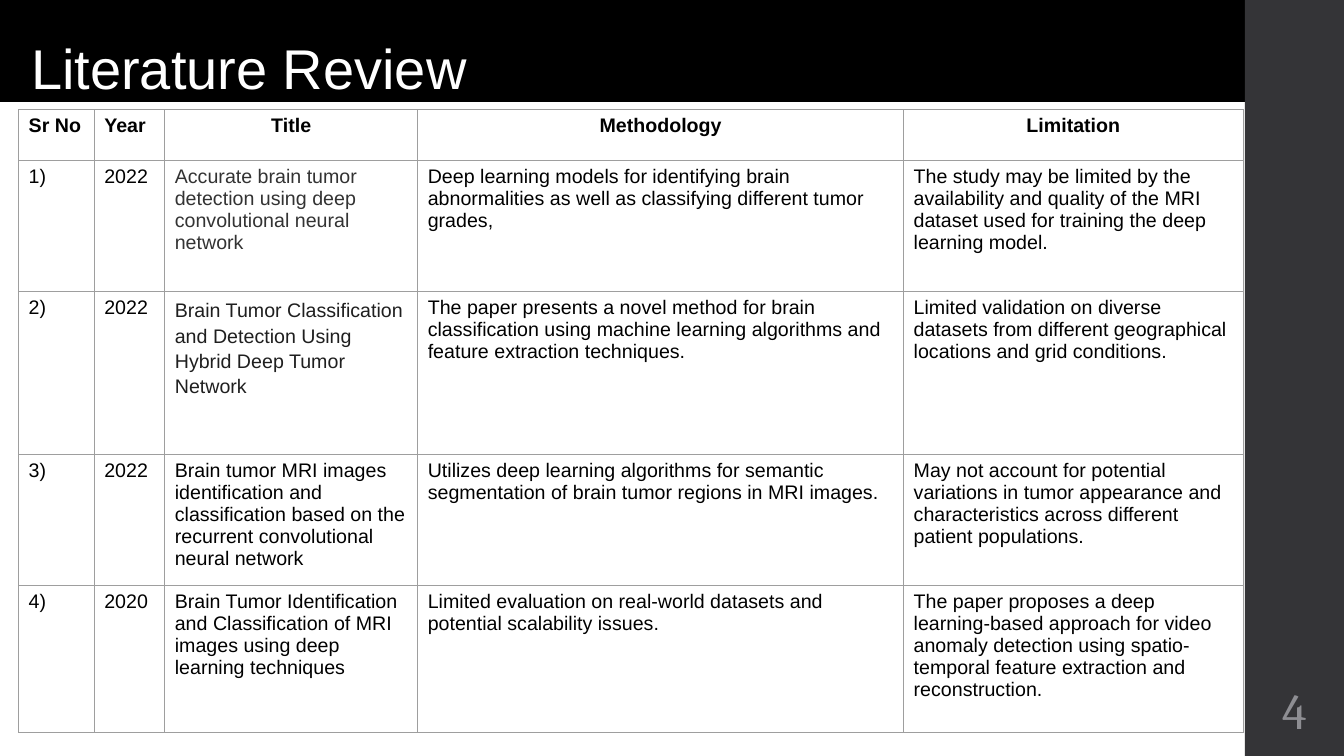
from pptx import Presentation
from pptx.dml.color import RGBColor
from pptx.enum.shapes import MSO_SHAPE as Shape
from pptx.enum.text import MSO_ANCHOR as Anchor, MSO_AUTO_SIZE as AutoSize, PP_ALIGN as Align
from pptx.oxml import parse_xml
from pptx.oxml.ns import nsdecls
from pptx.util import Pt

COLORS = {
    "white": "FFFFFF",
    "black": "000000",
    "sidebar": "343437",
    "number": "8E8E93",
    "border": "9E9E9E",
    "dark gray": "333333",
    "near black": "1F1F1F",
}
BAND_WIDTH = 889.2
SLIDE_WIDTH, SLIDE_HEIGHT = 960, 540
COLUMN_WIDTHS = [54, 50.4, 180.7, 347.1, 242.6]
ROW_HEIGHTS = [36.4, 93.6, 116.2, 93.6, 105.1]
HEADINGS = ["Sr No", "Year", "Title", "Methodology", "Limitation"]
PAPERS = [
    ["1)", "2022",
     "Accurate brain tumor detection using deep convolutional neural network",
     "Deep learning models for identifying brain abnormalities as well as "
     "classifying different tumor grades,",
     "The study may be limited by the availability and quality of the MRI "
     "dataset used for training the deep learning model."],
    ["2)", "2022",
     "Brain Tumor Classification and Detection Using Hybrid Deep Tumor Network",
     "The paper presents a novel method for brain classification using machine "
     "learning algorithms and feature extraction techniques.",
     "Limited validation on diverse datasets from different geographical "
     "locations and grid conditions."],
    ["3)", "2022",
     "Brain tumor MRI images identification and classification based on the "
     "recurrent convolutional neural network",
     "Utilizes deep learning algorithms for semantic segmentation of brain "
     "tumor regions in MRI images.",
     "May not account for potential variations in tumor appearance and "
     "characteristics across different patient populations."],
    ["4)", "2020",
     "Brain Tumor Identification and Classification of MRI images using deep "
     "learning techniques",
     "Limited evaluation on real-world datasets and potential scalability issues.",
     "The paper proposes a deep learning-based approach for video anomaly "
     "detection using spatio-temporal feature extraction and reconstruction."],
]
TITLE_COLORS = {1: "dark gray", 2: "near black"}


def set_fill(item, color):
    item.fill.solid()
    item.fill.fore_color.rgb = RGBColor.from_string(COLORS[color])


def write(text_frame, text, size, color, font="Arial", bold=False,
          align=Align.LEFT, line_spacing=1.0):
    text_frame.text = text
    text_frame.word_wrap = True
    paragraph = text_frame.paragraphs[0]
    paragraph.alignment = align
    paragraph.line_spacing = line_spacing
    run_font = paragraph.runs[0].font
    run_font.name, run_font.size, run_font.bold = font, Pt(size), bold
    run_font.color.rgb = RGBColor.from_string(COLORS[color])


def set_margins(text_frame, left, other):
    text_frame.margin_left = Pt(left)
    text_frame.margin_top = text_frame.margin_right = text_frame.margin_bottom = Pt(other)


def add_sidebar(slide):
    sidebar = slide.shapes.add_shape(
        Shape.RECTANGLE, Pt(BAND_WIDTH), 0, Pt(SLIDE_WIDTH - BAND_WIDTH), Pt(SLIDE_HEIGHT))
    sidebar.shadow.inherit = False
    set_fill(sidebar, "sidebar")
    sidebar.line.fill.background()


def format_title(title, text):
    title.left, title.top, title.width, title.height = 0, 0, Pt(BAND_WIDTH), Pt(72.7)
    set_fill(title, "black")
    text_frame = title.text_frame
    text_frame.auto_size = AutoSize.NONE
    text_frame.vertical_anchor = Anchor.BOTTOM
    set_margins(text_frame, 22.2, 0)
    write(text_frame, text, 40, "white", line_spacing=0.9)


def add_slide_number(slide, number):
    box = slide.shapes.add_textbox(
        Pt(BAND_WIDTH), Pt(486), Pt(SLIDE_WIDTH - BAND_WIDTH), Pt(46.8))
    box.text_frame.vertical_anchor = Anchor.MIDDLE
    set_margins(box.text_frame, 3.6, 3.6)
    write(box.text_frame, number, 35.5, "number", "Cambria",
          align=Align.CENTER, line_spacing=0.9)


def add_borders(cell):
    properties = cell._tc.get_or_add_tcPr()
    for side in "LRTB":
        properties.append(parse_xml(
            f'<a:ln{side} {nsdecls("a")} w="{Pt(0.75)}"><a:solidFill>'
            f'<a:srgbClr val="{COLORS["border"]}"/></a:solidFill></a:ln{side}>'))


def add_review_table(slide):
    rows = [HEADINGS, *PAPERS]
    table = slide.shapes.add_table(
        len(rows), len(HEADINGS), Pt(13.3), Pt(78.3),
        Pt(sum(COLUMN_WIDTHS)), Pt(sum(ROW_HEIGHTS))).table
    table.horz_banding = False
    for column, width in zip(table.columns, COLUMN_WIDTHS):
        column.width = Pt(width)
    for row_index, texts in enumerate(rows):
        table.rows[row_index].height = Pt(ROW_HEIGHTS[row_index])
        is_header = row_index == 0
        for column_index, text in enumerate(texts):
            cell = table.cell(row_index, column_index)
            add_borders(cell)
            set_fill(cell, "white")
            is_title = column_index == 2
            write(cell.text_frame, text, 14,
                  TITLE_COLORS.get(row_index, "black") if is_title else "black",
                  bold=is_header,
                  align=Align.CENTER if is_header and column_index >= 2 else Align.LEFT,
                  line_spacing=1.15 if is_title and row_index == 2 else 1.0)


def main():
    presentation = Presentation()
    presentation.slide_width, presentation.slide_height = Pt(SLIDE_WIDTH), Pt(SLIDE_HEIGHT)
    slide = presentation.slides.add_slide(presentation.slide_layouts[5])
    add_sidebar(slide)
    format_title(slide.shapes.title, "Literature Review")
    add_slide_number(slide, "4")
    add_review_table(slide)
    presentation.save("out.pptx")


if __name__ == "__main__":
    main()
